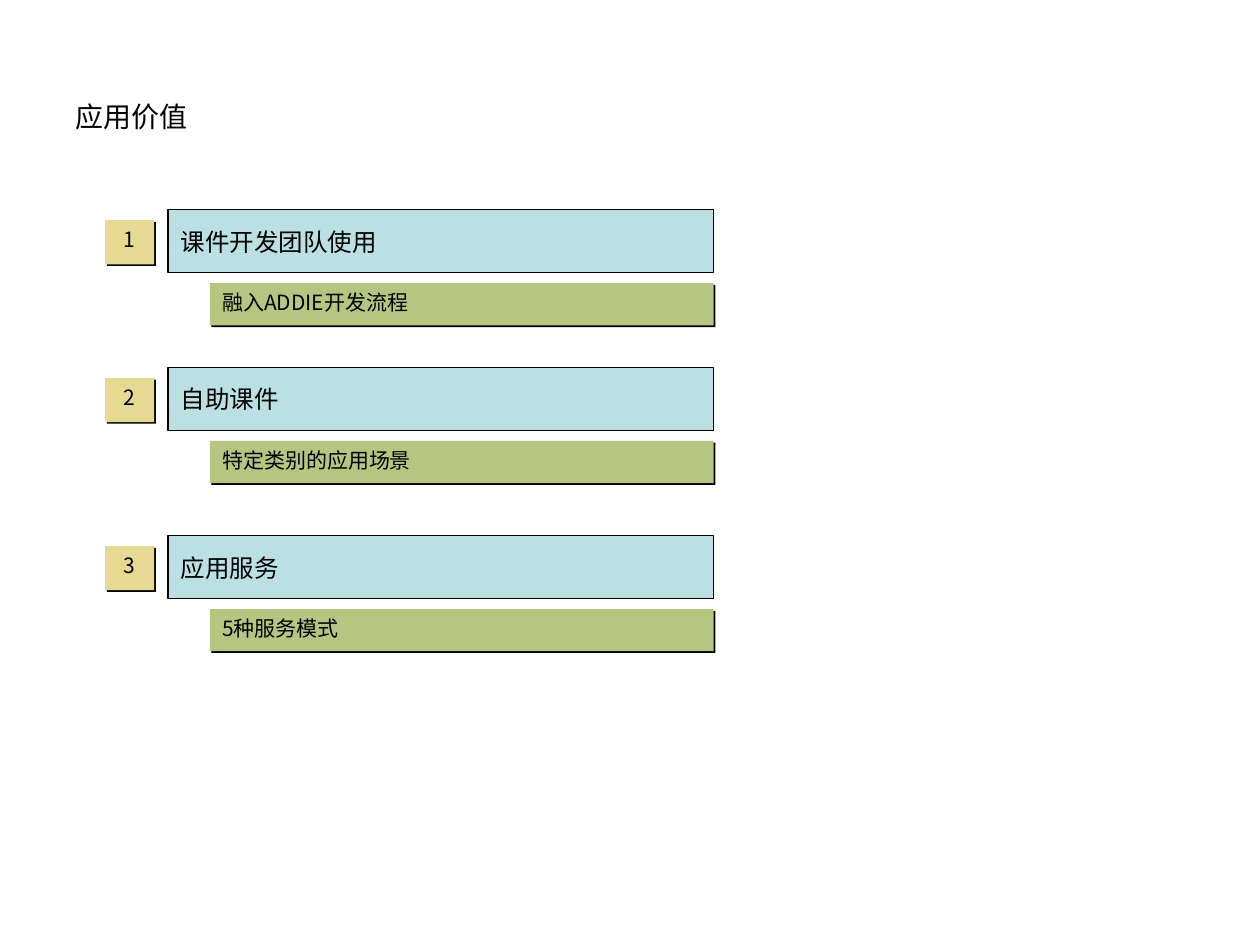
import dataclasses

import lxml.etree
import pptx
import pptx.dml.color
import pptx.enum.shapes
import pptx.enum.text
import pptx.oxml
import pptx.oxml.ns
import pptx.util

Cm = pptx.util.Cm
Pt = pptx.util.Pt
Kind = pptx.enum.shapes.MSO_SHAPE
Align = pptx.enum.text.PP_ALIGN
Anchor = pptx.enum.text.MSO_ANCHOR
qn = pptx.oxml.ns.qn


@dataclasses.dataclass(frozen=True)
class Theme:
    ink: str = "000000"
    bar: str = "BBE0E3"
    note: str = "B5C680"
    badge: str = "E6DA92"
    latin: str = "Arial"
    han: str = "Noto Sans CJK SC"
    digit: str = "Noto Sans CJK KR"
    title: int = 16
    head: int = 14
    small: int = 12


THEME = Theme()

# Top edge in cm, heading, note
ROWS = [
    (4.23, "课件开发团队使用", "融入ADDIE开发流程"),
    (7.41, "自助课件", "特定类别的应用场景"),
    (10.8, "应用服务", "5种服务模式"),
]


def color(code):
    return pptx.dml.color.RGBColor.from_string(code)


def write(shape, text, size, face, align=Align.LEFT, anchor=Anchor.MIDDLE):
    frame = shape.text_frame
    frame.word_wrap = True
    frame.auto_size = pptx.enum.text.MSO_AUTO_SIZE.NONE
    frame.vertical_anchor = anchor
    para = frame.paragraphs[0]
    para.alignment = align
    run = para.add_run()
    run.text = text
    run.font.size = Pt(size)
    run.font.name = face
    run.font.color.rgb = color(THEME.ink)
    asian = THEME.han if face == THEME.latin else face
    lxml.etree.SubElement(run.font._element, qn("a:ea"), typeface=asian)


def add_box(slide, kind, area, fill):
    box = slide.shapes.add_shape(kind, *map(Cm, area))
    box.shadow.inherit = False
    box.fill.solid()
    box.fill.fore_color.rgb = color(fill)
    box.line.fill.background()
    return box


def add_shade(box):
    """Give the box a hard shadow to the lower right."""
    effects = box._element.spPr.find(qn("a:effectLst"))
    shade = lxml.etree.SubElement(
        effects, qn("a:outerShdw"), blurRad="0", dist=str(Pt(1.4)),
        dir="2700000", algn="ctr", rotWithShape="0")
    lxml.etree.SubElement(shade, qn("a:srgbClr"), val=THEME.ink)


def add_title(slide, text):
    title = slide.shapes.title
    title.left, title.top = Cm(1.27), Cm(0.76)
    title.width, title.height = Cm(22.86), Cm(3.18)
    write(title, text, THEME.title, THEME.latin)


def add_bar(slide, top, text):
    bar = add_box(slide, Kind.FLOWCHART_PROCESS, (3.39, top, 11, 1.27),
                  THEME.bar)
    bar.line.color.rgb = color(THEME.ink)
    bar.line.width = Pt(0.75)
    write(bar, text, THEME.head, THEME.latin)


def add_note(slide, top, text):
    note = add_box(slide, Kind.RECTANGLE, (4.23, top, 10.16, 0.85),
                   THEME.note)
    add_shade(note)
    write(note, text, THEME.small, THEME.han, anchor=Anchor.TOP)


def add_badge(slide, top, text):
    badge = add_box(slide, Kind.RECTANGLE, (2.12, top, 0.99, 0.89),
                    THEME.badge)
    add_shade(badge)
    write(badge, text, THEME.small, THEME.digit, Align.CENTER, Anchor.TOP)


def main():
    deck = pptx.Presentation()
    deck.slide_width, deck.slide_height = Cm(25.4), Cm(19.05)
    slide = deck.slides.add_slide(deck.slide_layouts[5])
    add_title(slide, "应用价值")
    for count, (top, head, note) in enumerate(ROWS, 1):
        add_bar(slide, top, head)
        add_note(slide, top + 1.48, note)
        add_badge(slide, top + 0.21, str(count))
    deck.save("out.pptx")


if __name__ == "__main__":
    main()
